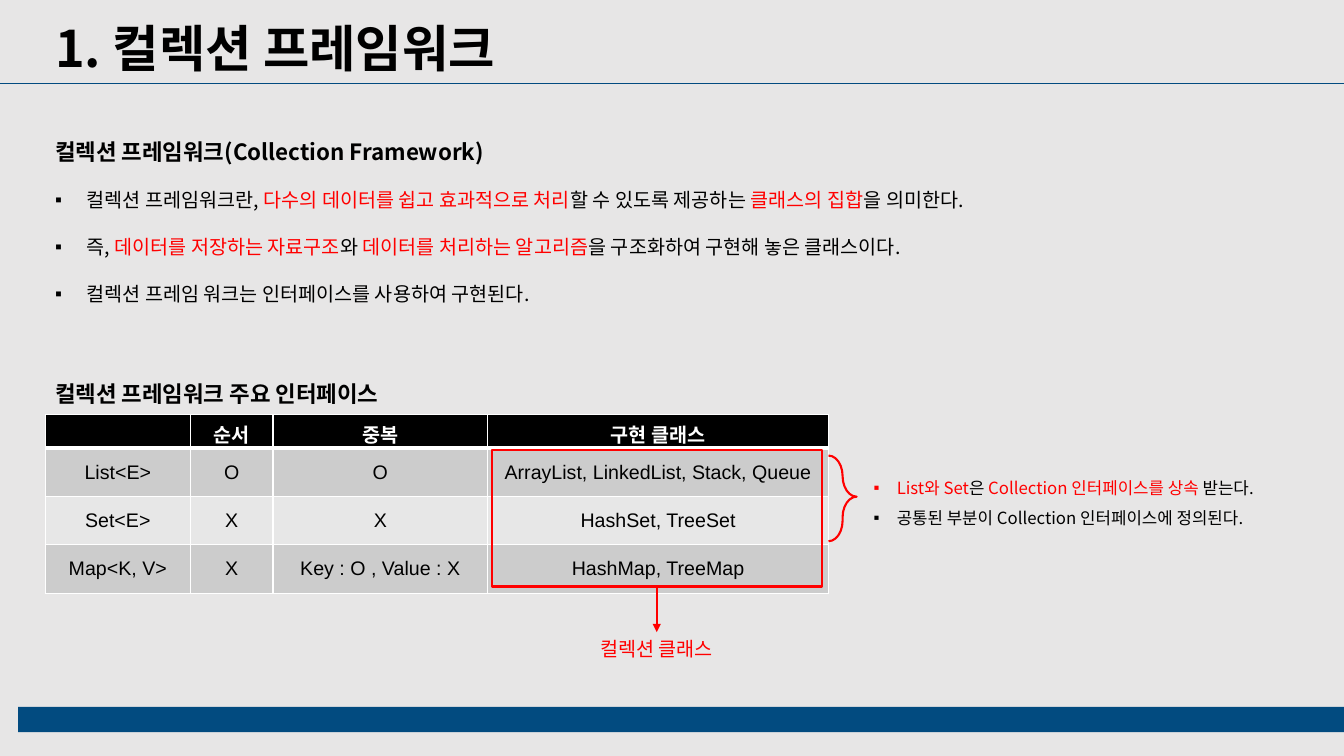
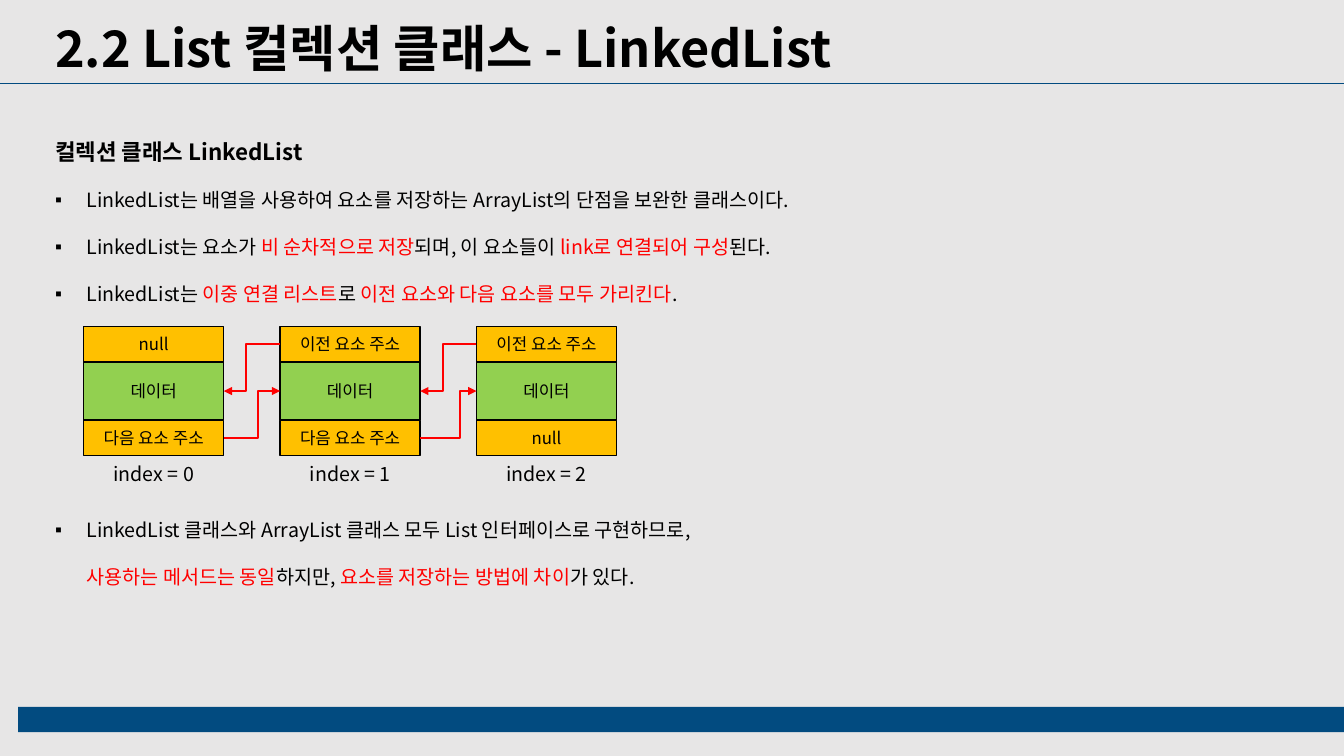
import pptx
import pptx.dml.color
import pptx.enum.shapes
import pptx.enum.text
import pptx.oxml.ns
import pptx.util
from lxml import etree

Cm, Pt = pptx.util.Cm, pptx.util.Pt
qn = pptx.oxml.ns.qn
SHAPE = pptx.enum.shapes.MSO_SHAPE
CONNECTOR = pptx.enum.shapes.MSO_CONNECTOR
CENTER = pptx.enum.text.PP_ALIGN.CENTER
MIDDLE = pptx.enum.text.MSO_ANCHOR.MIDDLE

SLIDE_W, SLIDE_H = 33.87, 19.05
MARGIN = 1.14
KOREAN, LATIN = "Noto Sans CJK KR", "Arial"
BACKGROUND, NAVY = "E7E6E6", "024B80"
BLACK, WHITE, RED = "000000", "FFFFFF", "FF0000"
AMBER, GREEN = "FFC000", "92D050"
ROW_FILLS = ["CCCCCC", "E7E7E7"]
BULLET_PITCH = 33.6  # points from one 14 pt bullet line to the next


def rgb(color):
    return pptx.dml.color.RGBColor.from_string(color)


def add_xml(parent, tag, **attributes):
    return etree.SubElement(parent, qn(tag), attributes)


def set_font(paragraph, size, color=BLACK, bold=False, latin=KOREAN):
    font = paragraph.font
    font.size, font.bold, font.name = Pt(size), bold, latin
    font.color.rgb = rgb(color)
    defaults = paragraph._p.pPr.find(qn("a:defRPr"))
    add_xml(defaults, "a:ea", typeface=KOREAN)


def set_bullet(paragraph, indent):
    properties = paragraph._p.get_or_add_pPr()
    properties.set("marL", str(Cm(indent)))
    properties.set("indent", str(-Cm(indent)))
    add_xml(properties, "a:buFont", typeface=LATIN)
    add_xml(properties, "a:buChar", char="▪")


def write(paragraph, text, size, indent=None, spacing=None, before=None, **font):
    """Fill a paragraph; parts between asterisks turn red, \\v breaks the line."""
    if indent:
        set_bullet(paragraph, indent)
    if spacing:
        paragraph.line_spacing = spacing
    if before:
        paragraph.space_before = Pt(before)
    set_font(paragraph, size, **font)
    for number, part in enumerate(text.split("*")):
        for line_number, line in enumerate(part.split("\v")):
            if line_number:
                paragraph.add_line_break()
            if line:
                run = paragraph.add_run()
                run.text = line
                if number % 2:
                    run.font.color.rgb = rgb(RED)


def add_text(shapes, left, top, width, height, paragraphs, align=None):
    """Add a text box from (text, size, options) triples."""
    frame = shapes.add_textbox(Cm(left), Cm(top), Cm(width), Cm(height)).text_frame
    frame.word_wrap = True
    for number, (text, size, options) in enumerate(paragraphs):
        paragraph = frame.add_paragraph() if number else frame.paragraphs[0]
        paragraph.alignment = align
        write(paragraph, text, size, **options)


def heading(text, before=None):
    return text, 16, dict(bold=True, spacing=2.0, before=before)


def bullet(text, before=None):
    return text, 14, dict(indent=0.79, spacing=2.0, before=before)


def note(text):
    return text, 12, dict(indent=0.58, spacing=1.5)


def add_shape(shapes, kind, left, top, width, height, fill=None, line=None, weight=1.0):
    shape = shapes.add_shape(kind, Cm(left), Cm(top), Cm(width), Cm(height))
    shape.shadow.inherit = False
    if fill:
        shape.fill.solid()
        shape.fill.fore_color.rgb = rgb(fill)
    else:
        shape.fill.background()
    if line:
        shape.line.color.rgb = rgb(line)
        shape.line.width = Pt(weight)
    else:
        shape.line.fill.background()
    return shape


def add_line(slide, x1, y1, x2, y2, color, weight, arrow=False, kind=CONNECTOR.STRAIGHT):
    line = slide.shapes.add_connector(kind, Cm(x1), Cm(y1), Cm(x2), Cm(y2))
    line.line.color.rgb = rgb(color)
    line.line.width = Pt(weight)
    if arrow:
        add_xml(line.line._get_or_add_ln(), "a:tailEnd", type="triangle")
    add_xml(line._element.spPr, "a:effectLst")
    return line


def add_link(slide, source, source_site, target, target_site, bend):
    """Draw an elbow arrow between two boxes, bending at a share of its width."""
    link = add_line(slide, 0, 0, 1, 1, RED, 1.5, arrow=True, kind=CONNECTOR.ELBOW)
    link.begin_connect(source, source_site)
    link.end_connect(target, target_site)
    geometry = link._element.spPr.find(qn("a:prstGeom"))
    guides = geometry.find(qn("a:avLst"))
    if guides is None:
        guides = add_xml(geometry, "a:avLst")
    add_xml(guides, "a:gd", name="adj1", fmla=f"val {round(bend * 100000)}")


def set_borders(cell, top, bottom):
    properties = cell._tc.get_or_add_tcPr()
    for side, weight in dict(L=1, R=1, T=top, B=bottom).items():
        border = add_xml(properties, f"a:ln{side}", w=str(Pt(weight)))
        add_xml(add_xml(border, "a:solidFill"), "a:srgbClr", val=WHITE)


def add_grid(slide, left, top, widths, heights, rows):
    table = slide.shapes.add_table(
        len(rows), len(widths), Cm(left), Cm(top), Cm(sum(widths)), Cm(sum(heights))
    ).table
    table.first_row = table.horz_banding = False
    for column, width in zip(table.columns, widths):
        column.width = Cm(width)
    for r, texts in enumerate(rows):
        table.rows[r].height = Cm(heights[r])
        header = r == 0
        for c, text in enumerate(texts):
            cell = table.cell(r, c)
            set_borders(cell, top=3 if r == 1 else 1, bottom=3 if header else 1)
            cell.fill.solid()
            cell.fill.fore_color.rgb = rgb(BLACK if header else ROW_FILLS[(r - 1) % 2])
            cell.vertical_anchor = MIDDLE
            paragraph = cell.text_frame.paragraphs[0]
            paragraph.alignment = CENTER
            write(paragraph, text, 14, color=WHITE if header else BLACK,
                  bold=header, latin=LATIN)
            if not text:
                add_xml(paragraph._p, "a:endParaRPr", sz="1400")


def add_slide(deck, title):
    slide = deck.slides.add_slide(deck.slide_layouts[6])
    slide.background.fill.solid()
    slide.background.fill.fore_color.rgb = rgb(BACKGROUND)
    add_shape(slide.shapes, SHAPE.RECTANGLE, 0.46, 17.81, SLIDE_W - 0.46, 0.64, NAVY)
    add_text(slide.shapes, MARGIN, 0.3, 22.12, 1.8, [(title, 36, dict(bold=True))])
    add_line(slide, 0, 2.11, SLIDE_W, 2.11, NAVY, 0.5)
    return slide


def add_node(slide, left, index, previous, following):
    """Add one list element; return its previous, data and next boxes."""
    width = 3.53
    shapes = slide.shapes.add_group_shape().shapes
    boxes = []
    for text, top, height, fill in [
        (previous, 8.23, 0.89, AMBER),
        ("데이터", 9.12, 1.47, GREEN),
        (following, 10.59, 0.89, AMBER),
    ]:
        box = add_shape(shapes, SHAPE.RECTANGLE, left, top, width, height, fill, BLACK)
        box.text_frame.vertical_anchor = MIDDLE
        box.text_frame.paragraphs[0].alignment = CENTER
        write(box.text_frame.paragraphs[0], text, 12)
        boxes.append(box)
    add_text(shapes, left, 11.51, width, 0.86, [(f"index = {index}", 14, {})], CENTER)
    return boxes


def build_framework(deck):
    slide = add_slide(deck, "1. 컬렉션 프레임워크")
    add_text(slide.shapes, MARGIN, 2.67, 25.98, 7.77, [
        heading("컬렉션 프레임워크(Collection Framework)"),
        bullet("컬렉션 프레임워크란, *다수의 데이터를 쉽고 효과적으로 처리*할 수 있도록 "
               "제공하는 *클래스의 집합*을 의미한다."),
        bullet("즉, *데이터를 저장하는 자료구조*와 *데이터를 처리하는 알고리즘*을 "
               "구조화하여 구현해 놓은 클래스이다."),
        bullet("컬렉션 프레임 워크는 인터페이스를 사용하여 구현된다."),
        heading("컬렉션 프레임워크 주요 인터페이스", before=BULLET_PITCH),
    ])
    add_grid(slide, MARGIN, 10.44, [3.66, 2.08, 5.41, 8.59], [0.85] + [1.22] * 3, [
        ["", "순서", "중복", "구현 클래스"],
        ["List<E>", "O", "O", "ArrayList, LinkedList, Stack, Queue"],
        ["Set<E>", "X", "X", "HashSet, TreeSet"],
        ["Map<K, V>", "X", "Key : O , Value : X", "HashMap, TreeMap"],
    ])
    brace = add_shape(slide.shapes, SHAPE.RIGHT_BRACE, 20.88, 11.48, 0.71, 2.16,
                      line=RED, weight=1.5)
    brace.adjustments[0], brace.adjustments[1] = 0.74, 0.48
    add_text(slide.shapes, 21.77, 11.66, 11.38, 1.8, [
        note("*List와 Set*은 *Collection 인터페이스를 상속* 받는다."),
        note("공통된 부분이 Collection 인터페이스에 정의된다."),
    ])
    add_text(slide.shapes, 14.63, 15.93, 3.84, 0.86,
             [("컬렉션 클래스", 14, dict(color=RED))], CENTER)
    add_shape(slide.shapes, SHAPE.RECTANGLE, 12.4, 11.35, 8.31, 3.43, line=RED, weight=1.5)
    add_line(slide, 16.55, 14.78, 16.55, 15.93, RED, 1.5, arrow=True)


def build_linked_list(deck):
    slide = add_slide(deck, "2.2 List 컬렉션 클래스 - LinkedList")
    add_text(slide.shapes, MARGIN, 2.67, 20.5, 12.22, [
        heading("컬렉션 클래스 LinkedList"),
        bullet("LinkedList는 배열을 사용하여 요소를 저장하는 ArrayList의 단점을 "
               "보완한 클래스이다."),
        bullet("LinkedList는 요소가 *비 순차적으로 저장*되며, 이 요소들이 "
               "*link로 연결되어 구성*된다."),
        bullet("LinkedList는 *이중 연결 리스트*로 "
               "*이전 요소와 다음 요소를 모두 가리킨다*."),
        bullet("LinkedList 클래스와 ArrayList 클래스 모두 List 인터페이스로 구현하므로,\v"
               "*사용하는 메서드는 동일*하지만, *요소를 저장하는 방법에 차이*가 있다.",
               before=4 * BULLET_PITCH),
    ])
    previous, following = "이전 요소 주소", "다음 요소 주소"
    addresses = [("null", following), (previous, following), (previous, "null")]
    nodes = [add_node(slide, 2.11 + 4.95 * index, index, *pair)
             for index, pair in enumerate(addresses)]
    left_site, right_site = 1, 3
    for node, successor, bend in zip(nodes, nodes[1:], [0.6, 0.7]):
        add_link(slide, node[2], right_site, successor[1], left_site, bend)
        add_link(slide, successor[0], left_site, node[1], right_site, 0.6)


def main():
    deck = pptx.Presentation()
    deck.slide_width, deck.slide_height = Cm(SLIDE_W), Cm(SLIDE_H)
    build_framework(deck)
    build_linked_list(deck)
    deck.save("out.pptx")


if __name__ == "__main__":
    main()
